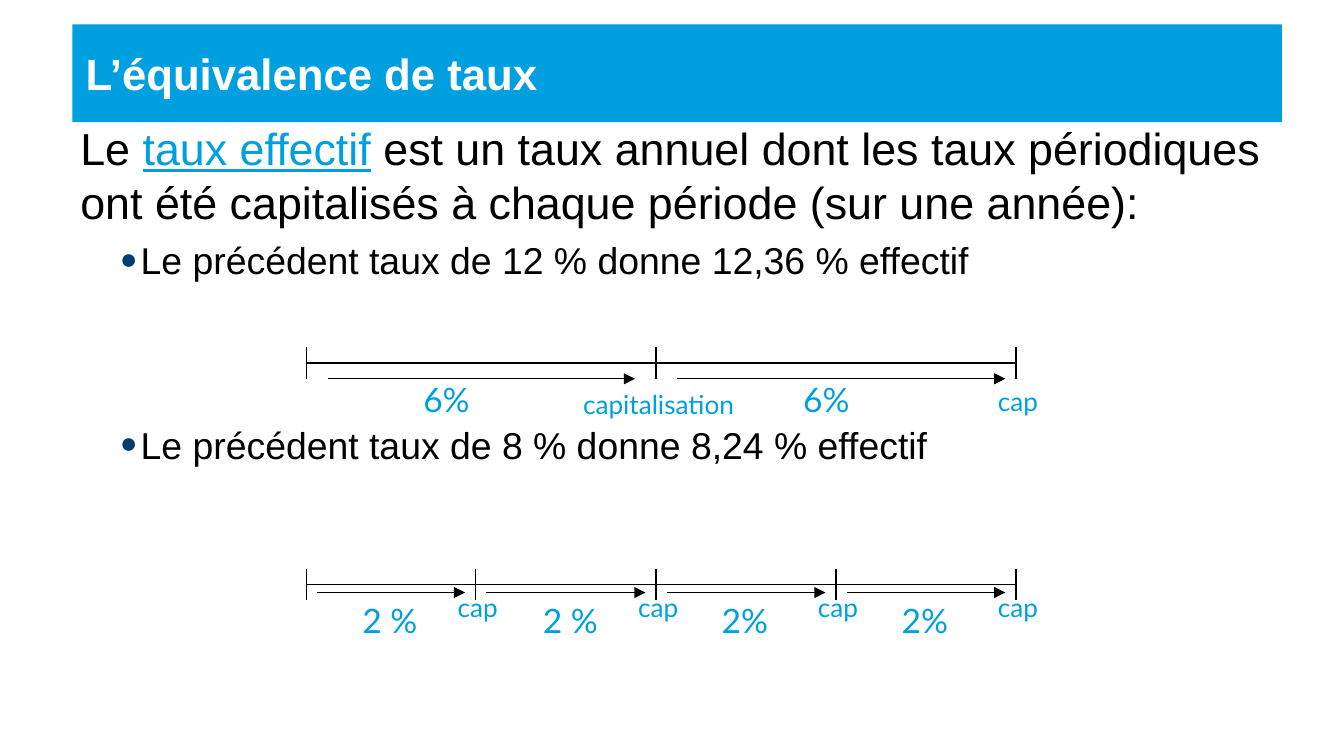
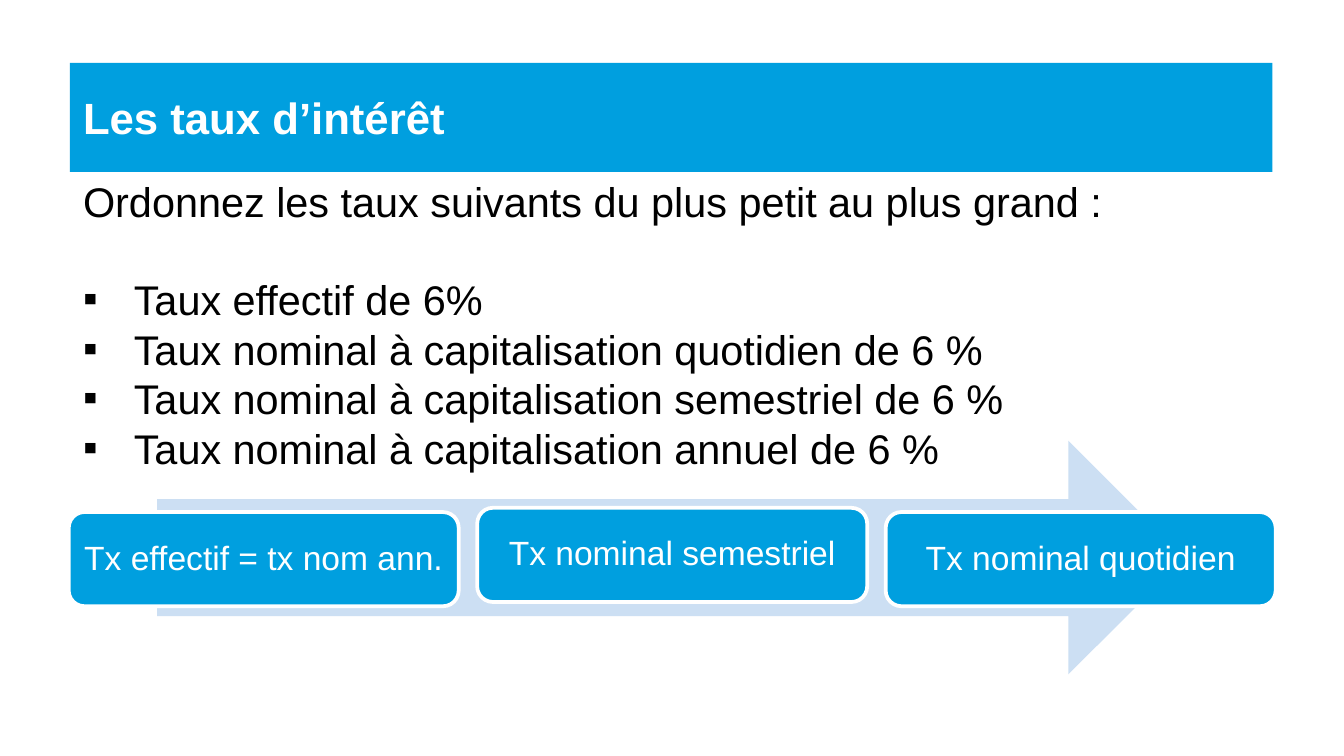
"""Build two slides on interest rates: equivalent rates and their ordering."""
import lxml.etree
import pptx
import pptx.dml.color
import pptx.enum.shapes
import pptx.enum.text
import pptx.oxml.ns
import pptx.util

Cm = pptx.util.Cm
Pt = pptx.util.Pt
qn = pptx.oxml.ns.qn
SHAPES = pptx.enum.shapes.MSO_SHAPE
ANCHORS = pptx.enum.text.MSO_ANCHOR
ALIGN = pptx.enum.text.PP_ALIGN

COLORS = {"blue": "009FDF", "navy": "003C71", "pale": "CCDFF3",
          "white": "FFFFFF", "black": "000000"}


def rgb(name):
    return pptx.dml.color.RGBColor.from_string(COLORS[name])


def add_element(parent, tag, **attributes):
    return lxml.etree.SubElement(parent, qn(tag), attributes)


def add_bullet(para, char, margin, hang, color=None, percent=100):
    properties = para._p.get_or_add_pPr()
    properties.set("marL", str(Cm(margin)))
    properties.set("indent", str(-Cm(hang)))
    if color:
        holder = add_element(properties, "a:buClr")
        add_element(holder, "a:srgbClr", val=COLORS[color])
    add_element(properties, "a:buSzPct", val=str(percent * 1000))
    add_element(properties, "a:buFont", typeface="Arial")
    add_element(properties, "a:buChar", char=char)


def write(frame, text, size=18, font="Arial", color="black", bold=False,
          align=ALIGN.LEFT, before=0, spacing=None, bullet=None, marked=None):
    """Add one paragraph; the words in marked are blue and underlined."""
    para = frame.paragraphs[0]
    if para.runs:
        para = frame.add_paragraph()
    para.alignment = align
    if before:
        para.space_before = Pt(before)
    if spacing:
        para.line_spacing = spacing
    if bullet:
        add_bullet(para, **bullet)
    start, middle, end = text.partition(marked) if marked else (text, "", "")
    for part in filter(None, (start, middle, end)):
        span = para.add_run()
        span.text = part
        span.font.size = Pt(size)
        span.font.name = font
        span.font.bold = bold
        span.font.underline = part == marked
        span.font.color.rgb = rgb("blue" if part == marked else color)


class Page:
    """Hold the style and the current slide."""

    def __init__(self, deck):
        self.shapes = deck.slides.add_slide(deck.slide_layouts[6]).shapes

    def shape(self, kind, left, top, width, height, fill, line=None):
        shape = self.shapes.add_shape(kind, Cm(left), Cm(top), Cm(width), Cm(height))
        shape.shadow.inherit = False
        shape.fill.solid()
        shape.fill.fore_color.rgb = rgb(fill)
        if line:
            shape.line.color.rgb = rgb(line)
            shape.line.width = Pt(2)
        else:
            shape.line.fill.background()
        shape.text_frame.word_wrap = True
        shape.text_frame.vertical_anchor = ANCHORS.MIDDLE
        return shape

    def title(self, text, left, top, width, height):
        band = self.shape(SHAPES.RECTANGLE, left, top, width, height, "blue")
        write(band.text_frame, text, size=23.4, color="white", bold=True)

    def body(self, left, top, width, height):
        box = self.shapes.add_textbox(Cm(left), Cm(top), Cm(width), Cm(height))
        box.text_frame.word_wrap = True
        return box.text_frame

    def label(self, text, center, top, width, size):
        height = 1.02 if size == 18 else 0.86
        frame = self.body(center - width / 2, top, width, height)
        frame.word_wrap = False
        frame.auto_size = pptx.enum.text.MSO_AUTO_SIZE.SHAPE_TO_FIT_TEXT
        write(frame, text, size=size, font="Lato", color="blue")

    def line(self, x1, y1, x2, y2, arrow=False):
        line = self.shapes.add_connector(
            pptx.enum.shapes.MSO_CONNECTOR.STRAIGHT, Cm(x1), Cm(y1), Cm(x2), Cm(y2))
        line.line.color.rgb = rgb("black")
        line.line.width = Pt(0.75)
        if arrow:
            add_element(line.line._get_or_add_ln(), "a:tailEnd", type="triangle")
        add_element(line._element.spPr, "a:effectLst")

    def timeline(self, y, ticks, gap, drop, rates, captions):
        self.line(ticks[0], y, ticks[-1], y)
        for tick in ticks:
            self.line(tick, y - 0.3, tick, y + 0.3)
        for start, end in zip(ticks, ticks[1:]):
            end_gap = 0.2 if end == ticks[-1] else gap
            self.line(start + gap, y + drop, end - end_gap, y + drop, arrow=True)
        for text, center, width in rates:
            self.label(text, center, y + 0.17, width, 18)
        for tick, (text, offset, width) in zip(ticks[1:], captions):
            self.label(text, tick + 0.06, y + offset, width, 14)


def build_equivalence(deck):
    page = Page(deck)
    page.title("L’équivalence de taux", 1.37, 0.46, 22.86, 1.85)
    frame = page.body(1.27, 2.16, 22.86, 11.86)
    write(frame, "Le taux effectif est un taux annuel dont les taux périodiques "
          "ont été capitalisés à chaque période (sur une année):",
          size=24, marked="taux effectif")
    dot = dict(char="•", margin=1.14, hang=0.38, color="navy", percent=125)
    write(frame, "Le précédent taux de 12 % donne 12,36 % effectif",
          size=20, before=5, bullet=dot)
    write(frame, "Le précédent taux de 8 % donne 8,24 % effectif",
          size=20, before=75, bullet=dot)
    quarters = [5.79, 8.99, 12.4, 15.8, 19.2]
    page.timeline(6.86, quarters[::2], 0.4, 0.3,
                  [("6%", 8.5, 1.5), ("6%", 15.68, 1.5)],
                  [("capitalisation", 0.36, 3.38), ("cap", 0.3, 1.3)])
    page.timeline(11.05, quarters, 0.2, 0.15,
                  [("2 %", 7.45, 1.7), ("2 %", 10.86, 1.7),
                   ("2%", 14.14, 1.5), ("2%", 17.54, 1.5)],
                  [("cap", 0, 1.3)] * 4)


def build_ordering(deck):
    page = Page(deck)
    page.title("Les taux d’intérêt", 1.32, 1.19, 22.73, 2.06)
    page.shape(SHAPES.RIGHT_ARROW, 2.97, 8.33, 19.43, 4.42, "pale")
    steps = [("Tx effectif = tx nom ann.", 9.68), ("Tx nominal semestriel", 9.6),
             ("Tx nominal quotidien", 9.68)]
    for index, (text, top) in enumerate(steps):
        step = page.shape(SHAPES.ROUNDED_RECTANGLE, 1.3 + 7.72 * index, top,
                          7.37, 1.78, "blue", line="white")
        step.text_frame.margin_left = step.text_frame.margin_right = Cm(0.2)
        write(step.text_frame, text, color="white", align=ALIGN.CENTER, spacing=0.9)
    frame = page.body(1.32, 3.38, 22.86, 5.77)
    write(frame, "Ordonnez les taux suivants du plus petit au plus grand :",
          size=22.2, spacing=0.8)
    square = dict(char="▪", margin=0.96, hang=0.96)
    rates = ["effectif de 6%"] + [f"nominal à capitalisation {period} de 6 %"
             for period in ("quotidien", "semestriel", "annuel")]
    for index, rate in enumerate(rates):
        write(frame, f"Taux {rate}", size=22.2, spacing=0.8,
              before=5.2 if index else 31.4, bullet=square)


def main():
    deck = pptx.Presentation()
    deck.slide_width, deck.slide_height = Cm(25.4), Cm(14.29)
    build_equivalence(deck)
    build_ordering(deck)
    deck.save("out.pptx")


if __name__ == "__main__":
    main()
